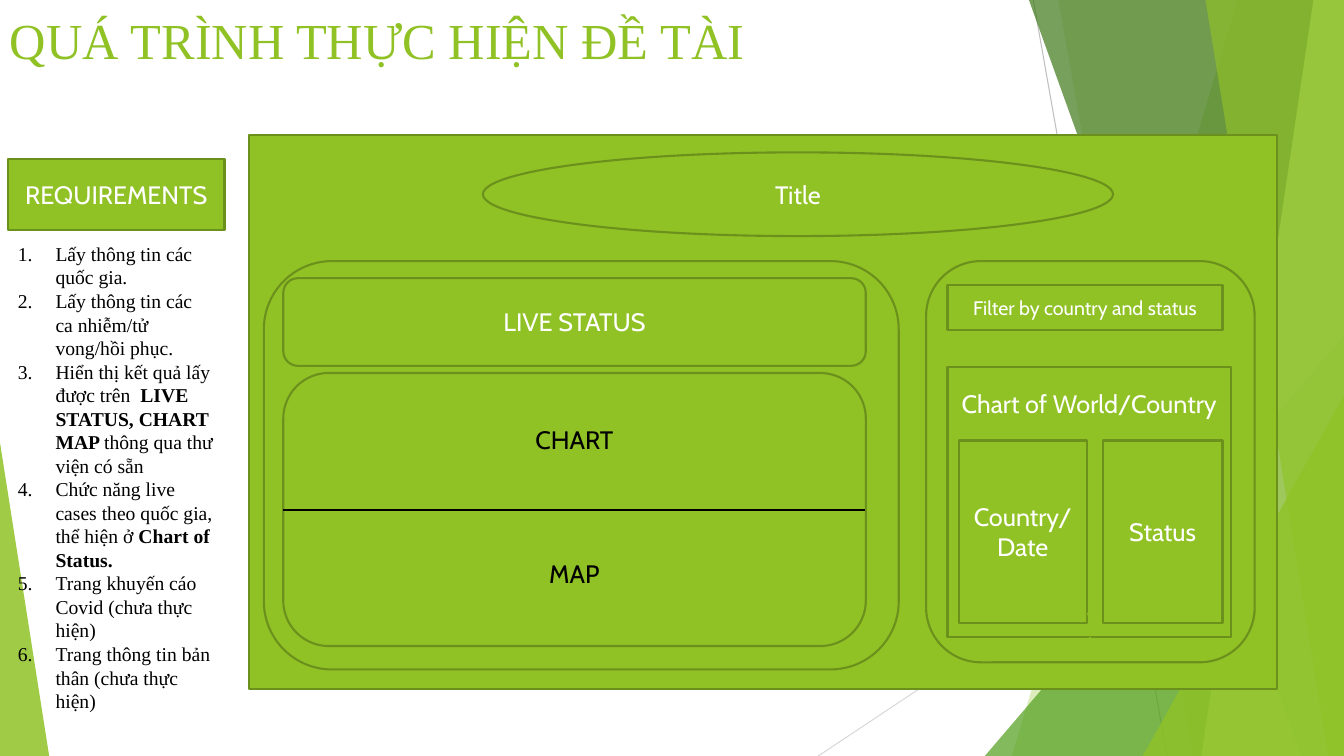
"""Build the project process slide: requirements list and dashboard wireframe."""
from lxml import etree
from pptx import Presentation
from pptx import util as u
from pptx.dml.color import RGBColor
from pptx.enum import shapes, text
from pptx.oxml.ns import qn

LIME = RGBColor(0x90, 0xC2, 0x26)
OLIVE = RGBColor(0x6B, 0x90, 0x1C)
GREEN = RGBColor(0x54, 0xA0, 0x21)
FOREST = RGBColor(0x3F, 0x78, 0x19)
PALE = RGBColor(0xC0, 0xE4, 0x74)
GRAY = RGBColor(0xBF, 0xBF, 0xBF)
SILVER = RGBColor(0xD9, 0xD9, 0xD9)
WHITE = RGBColor(0xFF, 0xFF, 0xFF)
BLACK = RGBColor(0, 0, 0)
W, H = 33.87, 19.05
RECT, ROUND, OVAL, TRIANGLE = (
    shapes.MSO_SHAPE.RECTANGLE, shapes.MSO_SHAPE.ROUNDED_RECTANGLE,
    shapes.MSO_SHAPE.OVAL, shapes.MSO_SHAPE.ISOSCELES_TRIANGLE)

prs = Presentation()
prs.slide_width, prs.slide_height = u.Cm(W), u.Cm(H)
s = prs.slides.add_slide(prs.slide_layouts[6])


def add_line(x1, y1, x2, y2, color, width):
    ln = s.shapes.add_connector(shapes.MSO_CONNECTOR.STRAIGHT,
                                u.Cm(x1), u.Cm(y1), u.Cm(x2), u.Cm(y2))
    ln.line.color.rgb = color
    ln.line.width = u.Pt(width)
    etree.SubElement(ln._element.spPr, qn("a:effectLst"))


def write(sp, words, size, color, font="Cabin", align=text.PP_ALIGN.CENTER):
    tf = sp.text_frame
    tf.word_wrap = True
    tf.vertical_anchor = text.MSO_ANCHOR.MIDDLE
    tf.text = words
    for p in tf.paragraphs:
        p.alignment = align
        p.font.size, p.font.name = u.Pt(size), font
        p.font.color.rgb = color
    return tf


add_line(26.04, 0, 29.41, H, GRAY, 0.75)
add_line(W, 10.24, 20.62, H, SILVER, 0.75)

facets = [
    ("band", 31.19, 25.5, LIME, 30),
    ("band", 26.67, 30.05, LIME, 20),
    ("triangle", (24.82, 8.46, W), 1, GREEN, 72),
    ("band", 25.93, 32.79, FOREST, 70),
    ("band", 33.1, 30.28, PALE, 70),
    ("band", 30.38, 33.48, LIME, 65),
    ("triangle", (28.8, 9.98, W), 1, LIME, 80),
    ("triangle", (0, 11.15, 1.24), 0, LIME, 85),
]
for kind, place, end, color, opacity in facets:
    if kind == "band":
        fb = s.shapes.build_freeform(u.Cm(place), 0)
        fb.add_line_segments([(u.Cm(x), u.Cm(y)) for x, y in
                              ((W, 0), (W, H), (end, H))], close=True)
        sp = fb.convert_to_shape()
    else:
        left, top, right = place
        sp = s.shapes.add_shape(TRIANGLE, u.Cm(left), u.Cm(top),
                                u.Cm(right - left), u.Cm(H - top))
        sp.adjustments[0] = end
    sp.shadow.inherit = False
    sp.line.fill.background()
    sp.fill.solid()
    sp.fill.fore_color.rgb = color
    clr = sp._element.spPr.find(qn("a:solidFill"))[0]
    etree.SubElement(clr, qn("a:alpha"), val=str(opacity * 1000))

title = s.shapes.add_textbox(0, 0, u.Cm(23.88), u.Cm(2))
write(title, "QUÁ TRÌNH THỰC HIỆN ĐỀ TÀI", 36, LIME, "Times New Roman",
      text.PP_ALIGN.LEFT)

boxes = [
    (RECT, 0.2, 4.01, 5.46, 1.78, "REQUIREMENTS", 18, 0.13),
    (RECT, 6.27, 3.4, 25.91, 13.97, "", 18, 0.13),
    (OVAL, 12.17, 3.84, 15.88, 2.11, "Title", 18, 0.13),
    (ROUND, 6.65, 6.58, 16, 10.29, "", 18, 0.13),
    (ROUND, 7.14, 7.01, 14.68, 2.21, "LIVE STATUS", 18, 0.13),
    (ROUND, 7.14, 9.4, 14.68, 6.88, "", 18, 0.13),
    (ROUND, 23.34, 6.58, 8.28, 10.11, "", 18, 0.13),
    (RECT, 23.88, 7.19, 6.93, 1.12, "Filter by country and status", 14, 0.13),
    (RECT, 23.88, 9.25, 7.14, 6.81, "Chart of World/Country", 18, 5.08),
    (RECT, 24.16, 11.1, 3.23, 4.6, "Country/\nDate", 18, 0.13),
    (RECT, 27.79, 11.1, 3.02, 4.6, "Status", 18, 0.13),
]
for kind, x, y, w, h, label, size, bottom in boxes:
    sp = s.shapes.add_shape(kind, u.Cm(x), u.Cm(y), u.Cm(w), u.Cm(h))
    sp.shadow.inherit = False
    sp.fill.solid()
    sp.fill.fore_color.rgb = LIME
    sp.line.color.rgb = OLIVE
    sp.line.width = u.Pt(1.5)
    if label:
        write(sp, label, size, WHITE).margin_bottom = u.Cm(bottom)

for label, y in (("CHART", 10.57), ("MAP", 13.94)):
    tb = s.shapes.add_textbox(u.Cm(8.71), u.Cm(y), u.Cm(11.53), u.Cm(1.02))
    write(tb, label, 18, BLACK)

for x1, y1, x2, y2, color in (
        (27.46, 16.05, 27.48, 16.1, LIME), (27.48, 15.7, 27.41, 15.44, LIME),
        (11.33, 12.6, 21.79, 12.85, LIME), (7.14, 12.85, 21.79, 12.85, BLACK)):
    add_line(x1, y1, x2, y2, color, 1)

requirements = [
    [("Lấy thông tin các quốc gia.", False)],
    [("Lấy thông tin các ca nhiễm/tử vong/hồi phục.", False)],
    [("Hiển thị kết quả lấy được trên  ", False),
     ("LIVE STATUS, CHART MAP ", True), ("thông qua thư viện có sẵn", False)],
    [("Chức năng live cases theo quốc gia, thể hiện ở ", False),
     ("Chart of Status.", True)],
    [("Trang khuyến cáo Covid (chưa thực hiện)", False)],
    [("Trang thông tin bản thân (chưa thực hiện)", False)],
]
tb = s.shapes.add_textbox(u.Cm(0.2), u.Cm(5.97), u.Cm(5.46), u.Cm(13.59))
tf = tb.text_frame
tf.word_wrap = True
for i, parts in enumerate(requirements):
    p = tf.add_paragraph() if i else tf.paragraphs[0]
    p.font.size, p.font.name = u.Pt(14), "Times New Roman"
    p.font.color.rgb = BLACK
    p.line_spacing = u.Pt(16.8)
    pPr = p._p.get_or_add_pPr()
    pPr.set("marL", str(u.Cm(0.95)))
    pPr.set("indent", str(u.Cm(-0.95)))
    number = etree.Element(qn("a:buAutoNum"), type="arabicPeriod")
    pPr.insert(1, number)
    for words, bold in parts:
        r = p.add_run()
        r.text, r.font.bold = words, bold

prs.save("out.pptx")
